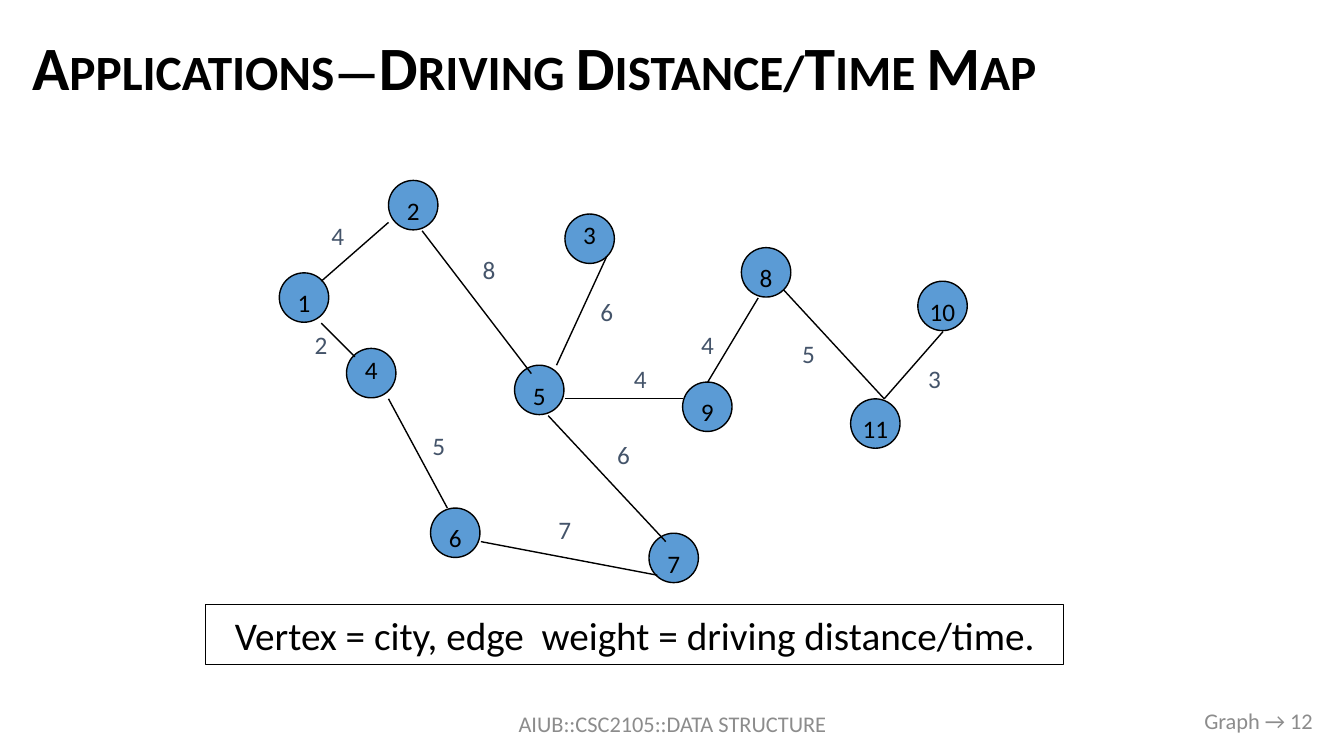
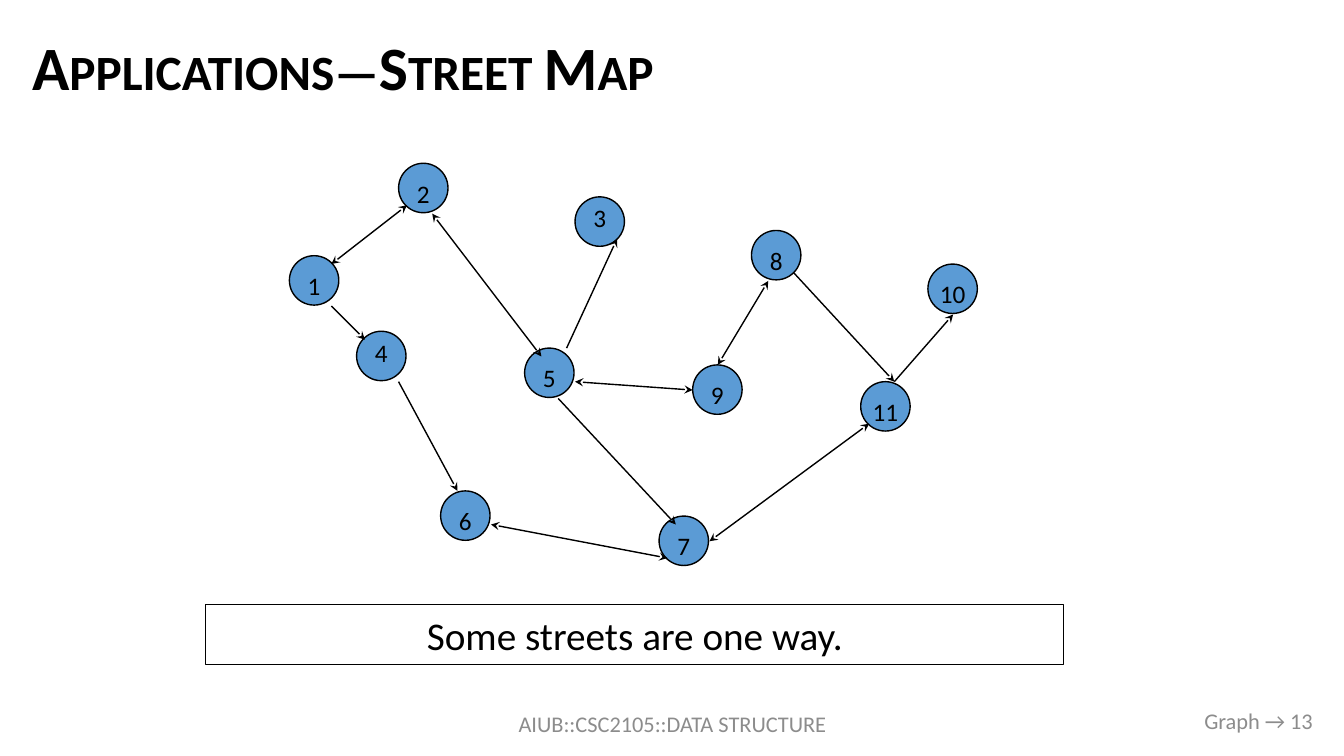
from lxml import etree
from pptx import Presentation
from pptx.dml.color import RGBColor
from pptx.enum.shapes import MSO_CONNECTOR, MSO_SHAPE
from pptx.enum.text import MSO_ANCHOR, PP_ALIGN
from pptx.oxml.ns import qn
from pptx.util import Inches, Pt

LEFT, CENTER, RIGHT = PP_ALIGN.LEFT, PP_ALIGN.CENTER, PP_ALIGN.RIGHT
RECT, OVAL = MSO_SHAPE.RECTANGLE, MSO_SHAPE.OVAL
STRAIGHT, MIDDLE = MSO_CONNECTOR.STRAIGHT, MSO_ANCHOR.MIDDLE

FONT = "Calibri"
COLORS = {"ink": "000000", "paper": "FFFFFF", "node": "5B9BD5",
          "weight": "44546A", "footer": "8C8C8C"}

# Graph geometry, in grid units from the graph's top left corner
UNIT = 1 / 12
NODE_SIZE = 0.49
NODES = {1: (0, 11), 2: (13, 0), 3: (34, 4), 4: (8, 20), 5: (28, 22),
         6: (18, 39), 7: (44, 42), 8: (55, 8), 9: (48, 24),
         10: (76, 12), 11: (68, 26)}
HIGH_LABELS = {3, 4}
EDGES = {(2, 1): (13, 5, 5, 12), (2, 5): (17, 6, 30, 23),
         (1, 4): (5, 17, 9, 21), (4, 6): (13, 26, 20, 39),
         (6, 7): (24, 43, 45, 47), (5, 3): (33, 22, 39, 9),
         (5, 7): (32, 28, 46, 43), (8, 9): (57, 14, 51, 24),
         (8, 11): (60, 13, 72, 26), (11, 10): (72, 26, 79, 18),
         (5, 9): (34, 26, 48, 26)}

# Driving map: weight and the corner of its label
WEIGHTS = {(2, 1): ("4", 5, 4), (2, 5): ("8", 23, 8), (5, 3): ("6", 37, 13),
           (5, 7): ("6", 39, 30), (6, 7): ("7", 32, 39), (4, 6): ("5", 17, 29),
           (1, 4): ("2", 3, 17), (5, 9): ("4", 41, 21), (8, 9): ("4", 49, 17),
           (8, 11): ("5", 61, 18), (11, 10): ("3", 76, 21)}

# Street map: own edges and one-way streets
STREETS = {**EDGES, (2, 1): (14, 5, 5, 12), (5, 9): (34, 26, 48, 27),
           (7, 11): (50, 45, 69, 31)}
ONE_WAY = {(1, 4), (4, 6), (5, 3), (5, 7), (8, 11), (11, 10)}


def rgb(name):
    return RGBColor.from_string(COLORS[name])


def write(shape, text, size, color="ink", align=CENTER, bold=False):
    tf = shape.text_frame
    tf.word_wrap = True
    tf.vertical_anchor = MIDDLE
    p = tf.paragraphs[0]
    r = p.add_run()
    r.text = text
    p.alignment = align
    p.font.name, p.font.size, p.font.bold = FONT, Pt(size), bold
    p.font.color.rgb = rgb(color)
    return tf


def add_text(s, box, text, size, **style):
    return write(s.shapes.add_textbox(*map(Inches, box)), text, size, **style)


def add_outlined(s, kind, box, fill):
    sp = s.shapes.add_shape(kind, *map(Inches, box))
    sp.shadow.inherit = False
    sp.fill.solid()
    sp.fill.fore_color.rgb = rgb(fill)
    sp.line.color.rgb = rgb("ink")
    sp.line.width = Pt(1)
    return sp


def add_frame(prs, number, title, caption):
    """Title, footers and boxed caption shared by both slides."""
    s = prs.slides.add_slide(prs.slide_layouts[6])
    tf = add_text(s, (0.22, 0.24, 12.9, 0.93), title, 44, align=LEFT, bold=True)
    p = tf.paragraphs[0]
    p.line_spacing = 0.9
    p.runs[0].font._element.set("cap", "small")
    add_text(s, (4.42, 6.98, 4.5, 0.4), "AIUB::CSC2105::DATA STRUCTURE", 16,
             color="footer")
    add_text(s, (10.12, 6.95, 3, 0.4), f"Graph → {number}", 16,
             color="footer", align=RIGHT)
    write(add_outlined(s, RECT, (2.04, 6, 8.51, 0.59), "paper"), caption, 28)
    return s


def add_edge(s, start, end, arrows=()):
    line = s.shapes.add_connector(STRAIGHT, *map(Inches, start + end))
    line.line.color.rgb = rgb("ink")
    line.line.width = Pt(1)
    for arrow in arrows:
        etree.SubElement(line.line._get_or_add_ln(), qn(arrow), type="stealth")
    etree.SubElement(line._element.spPr, qn("a:effectLst"))


def add_graph(s, left, top, edges, weights=None, one_way=None):
    """Numbered nodes and edges; arrows only if one_way is given."""
    def at(col, row):
        return left + col * UNIT, top + row * UNIT

    for number, cell in NODES.items():
        node = add_outlined(s, OVAL, (*at(*cell), NODE_SIZE, NODE_SIZE), "node")
        tf = write(node, str(number), 18)
        tf.word_wrap = False
        high = number in HIGH_LABELS
        tf.margin_left = tf.margin_right = 0
        tf.margin_top = Inches(0 if high else 0.1)
        tf.margin_bottom = Inches(0.08 if high else 0)
    for edge, (x1, y1, x2, y2) in edges.items():
        arrows = ()
        if one_way is not None:
            arrows = ("a:tailEnd",) if edge in one_way else ("a:headEnd", "a:tailEnd")
        add_edge(s, at(x1, y1), at(x2, y2), arrows)
    for weight, *cell in (weights or {}).values():
        tf = add_text(s, (*at(*cell), 0.33, 0.43), weight, 18, color="weight")
        tf.margin_left = tf.margin_right = 0


def main():
    prs = Presentation()
    prs.slide_width, prs.slide_height = Inches(13.33), Inches(7.5)

    s = add_frame(prs, 12, "Applications—Driving Distance/Time Map",
                  "Vertex = city, edge  weight = driving distance/time.")
    add_graph(s, 2.77, 1.79, EDGES, weights=WEIGHTS)

    s = add_frame(prs, 13, "Applications—Street Map", "Some streets are one way.")
    add_graph(s, 2.87, 1.62, STREETS, one_way=ONE_WAY)

    prs.save("out.pptx")


if __name__ == "__main__":
    main()
